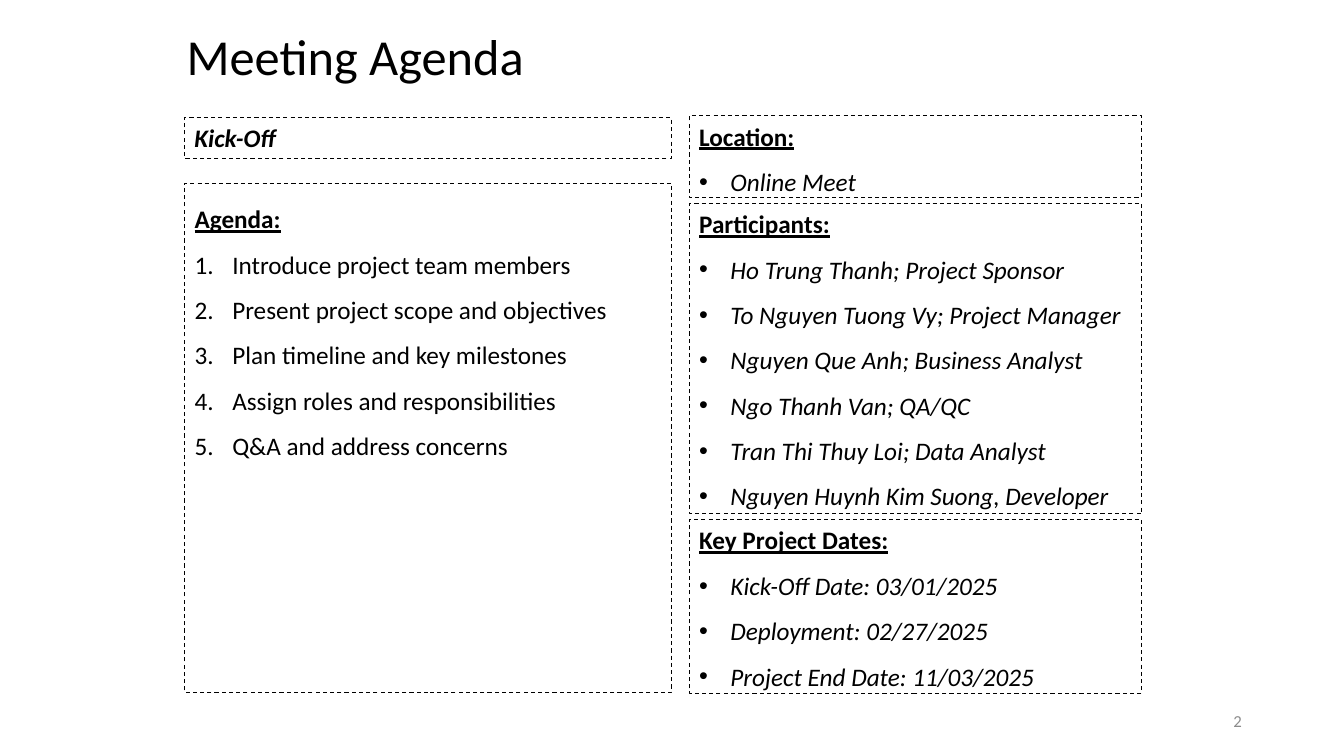
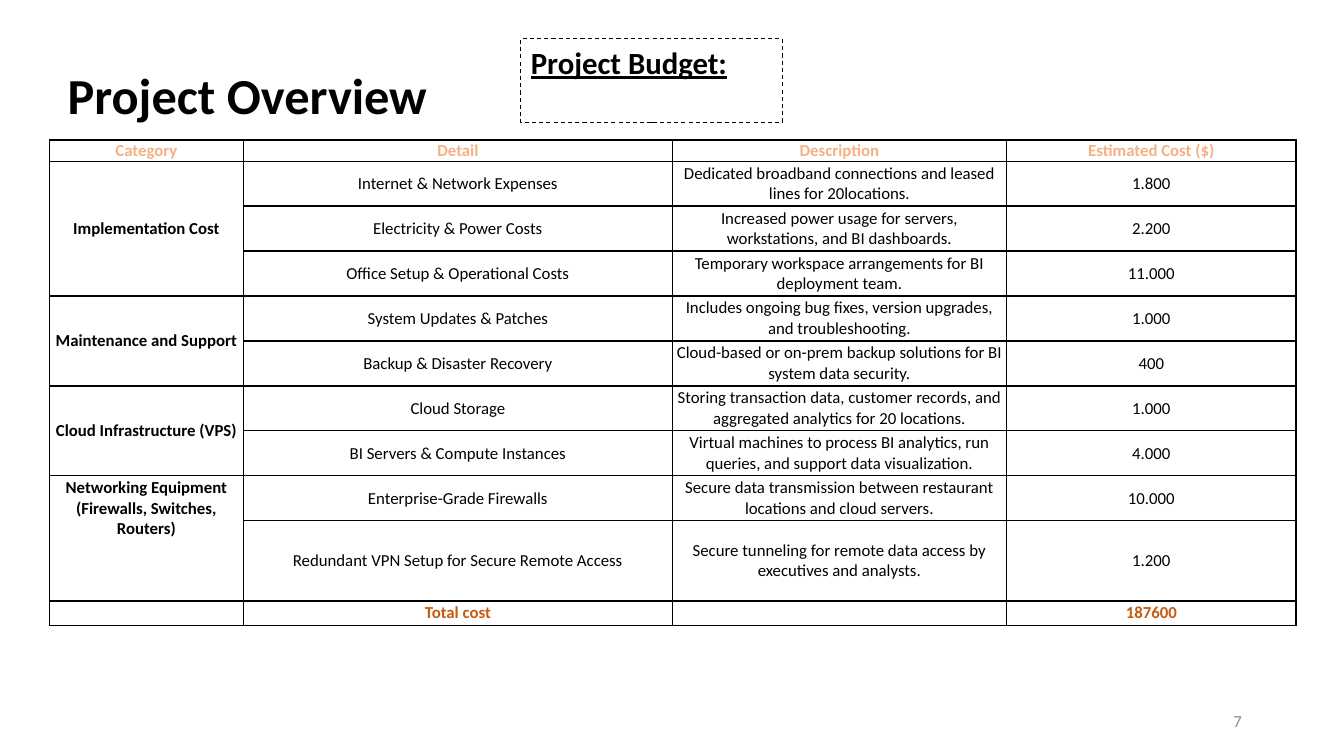
from lxml.etree import SubElement
from pptx import Presentation
from pptx.dml.color import RGBColor
from pptx.enum.dml import MSO_LINE
from pptx.enum.shapes import MSO_SHAPE
from pptx.enum.text import MSO_ANCHOR, MSO_AUTO_SIZE, PP_ALIGN
from pptx.oxml.ns import qn
from pptx.util import Cm, Pt

FONT = "Calibri"
BLACK, WHITE, GREY = "000000", "FFFFFF", "8C8C8C"
PEACH, RUST = "F4B183", "C55A11"

PLAIN = dict(size=Pt(18), name=FONT, bold=False, italic=False, underline=False)
HEAD = PLAIN | dict(bold=True, underline=True)
ITALIC = PLAIN | dict(italic=True)
TITLE = PLAIN | dict(size=Pt(36))
SMALL = PLAIN | dict(size=Pt(12))
STRONG = SMALL | dict(bold=True)

AGENDA = [
    "Introduce project team members",
    "Present project scope and objectives",
    "Plan timeline and key milestones",
    "Assign roles and responsibilities",
    "Q&A and address concerns",
]
# heading, box height in cm, bullet items
PANELS = [
    ("Location:", 2.06, ["Online Meet"]),
    ("Participants:", 7.82, [
        "Ho Trung Thanh; Project Sponsor",
        "To Nguyen Tuong Vy; Project Manager",
        "Nguyen Que Anh; Business Analyst",
        "Ngo Thanh Van; QA/QC",
        "Tran Thi Thuy Loi; Data Analyst",
        "Nguyen Huynh Kim Suong, Developer",
    ]),
    ("Key Project Dates:", 4.37, [
        "Kick-Off Date: 03/01/2025",
        "Deployment: 02/27/2025",
        "Project End Date: 11/03/2025",
    ]),
]
COLUMNS = ["Category", "Detail", "Description", "Estimated Cost ($)"]
WIDTHS = [4.9, 10.8, 8.43, 7.29]
HEIGHTS = [0.53] + [1.11] * 8 + [2.02, 0.61]
BUDGET = [
    ("Implementation Cost", [
        ("Internet & Network Expenses",
         "Dedicated broadband connections and leased lines for 20locations.", "1.800"),
        ("Electricity & Power Costs",
         "Increased power usage for servers, workstations, and BI dashboards.", "2.200"),
        ("Office Setup & Operational Costs",
         "Temporary workspace arrangements for BI deployment team.", "11.000"),
    ]),
    ("Maintenance and Support", [
        ("System Updates & Patches",
         "Includes ongoing bug fixes, version upgrades, and troubleshooting.", "1.000"),
        ("Backup & Disaster Recovery",
         "Cloud-based or on-prem backup solutions for BI system data security.", "400"),
    ]),
    ("Cloud Infrastructure (VPS)", [
        ("Cloud Storage",
         "Storing transaction data, customer records, and aggregated analytics "
         "for 20 locations.", "1.000"),
        ("BI Servers & Compute Instances",
         "Virtual machines to process BI analytics, run queries, and support "
         "data visualization.", "4.000"),
    ]),
    ("Networking Equipment (Firewalls, Switches, Routers)", [
        ("Enterprise-Grade Firewalls",
         "Secure data transmission between restaurant locations and cloud servers.",
         "10.000"),
        ("Redundant VPN Setup for Secure Remote Access",
         "Secure tunneling for remote data access by executives and analysts.", "1.200"),
    ]),
]
TOTAL = ["", "Total cost", "", "187600"]


def rgb(code):
    return RGBColor.from_string(code)


def write(para, text, style, color=BLACK, align=PP_ALIGN.LEFT, space=1.0):
    para.alignment, para.line_spacing = align, space
    para.space_before = Pt(0)
    if not text:
        SubElement(para._p, qn("a:endParaRPr"), sz=str(int(style["size"].pt * 100)))
        return
    run = para.add_run()
    run.text = text
    for key, value in style.items():
        setattr(run.font, key, value)
    run.font.color.rgb = rgb(color)


def mark(para, tag, indent=0.0, **attrs):
    """Set the bullet element and the hanging indent in cm."""
    props = para._p.get_or_add_pPr()
    props.set("marL", str(Cm(indent)))
    props.set("indent", str(-Cm(indent)))
    if tag == "a:buChar":
        SubElement(props, qn("a:buFont"), typeface="Arial")
    SubElement(props, qn(tag), **attrs)


def place(shape, left, top, width, height):
    shape.left, shape.top = Cm(left), Cm(top)
    shape.width, shape.height = Cm(width), Cm(height)


def frame(shape, anchor=MSO_ANCHOR.TOP):
    text = shape.text_frame
    text.word_wrap, text.auto_size = True, MSO_AUTO_SIZE.NONE
    text.vertical_anchor = anchor
    return text


def dash(shape):
    shape.fill.background()
    shape.line.color.rgb = rgb(BLACK)
    shape.line.width = Pt(0.75)
    shape.line.dash_style = MSO_LINE.DASH


def box(slide, area, text, style):
    """Add a dashed box with a first line and return its text frame."""
    shape = slide.shapes.add_shape(MSO_SHAPE.RECTANGLE, *map(Cm, area))
    shape.shadow.inherit = False
    dash(shape)
    body = frame(shape)
    write(body.paragraphs[0], text, style)
    return body


def start(deck, layout, title, area, number, bold=False):
    """Add a slide with its title and page number."""
    slide = deck.slides.add_slide(deck.slide_layouts[layout])
    head = slide.shapes.title
    place(head, *area)
    body = frame(head, MSO_ANCHOR.MIDDLE)
    write(body.paragraphs[0], title, TITLE | dict(bold=bold), space=0.9)
    page = slide.shapes.add_textbox(Cm(23.93), Cm(17.65), Cm(7.62), Cm(1.02))
    body = frame(page, MSO_ANCHOR.MIDDLE)
    write(body.paragraphs[0], number, SMALL, GREY, PP_ALIGN.RIGHT)
    return slide


def agenda(deck):
    slide = start(deck, 1, "Meeting Agenda", (4.45, 0.53, 24.97, 1.9), "2")
    left, width = 4.65, 12.27
    box(slide, (left, 2.97, width, 1.02), "Kick-Off", ITALIC | dict(bold=True))

    steps = slide.placeholders[1]
    place(steps, left, 4.62, width, 12.83)
    dash(steps)
    body = frame(steps)
    write(body.paragraphs[0], "Agenda:", HEAD, space=1.5)
    mark(body.paragraphs[0], "a:buNone")
    for item in AGENDA:
        para = body.add_paragraph()
        write(para, item, PLAIN, space=1.5)
        mark(para, "a:buAutoNum", 0.95, type="arabicPeriod")

    top, gap = 2.92, 0.15
    for title, height, items in PANELS:
        body = box(slide, (17.37, top, 11.4, height), title, HEAD)
        for item in items:
            para = body.add_paragraph()
            write(para, item, ITALIC, space=1.5)
            mark(para, "a:buChar", 0.79, char="•")
        top += height + gap


def fill(cell, text, style=SMALL, color=BLACK, pad=(0.08, 0.05)):
    cell.margin_left = cell.margin_right = Cm(pad[0])
    cell.margin_top = cell.margin_bottom = Cm(pad[1])
    cell.vertical_anchor = MSO_ANCHOR.MIDDLE
    write(cell.text_frame.paragraphs[0], text, style, color, PP_ALIGN.CENTER)
    props = cell._tc.get_or_add_tcPr()
    for side in "LRTB":
        line = SubElement(props, qn("a:ln" + side), w=str(Pt(1)))
        SubElement(SubElement(line, qn("a:solidFill")), qn("a:srgbClr"), val=BLACK)
    cell.fill.solid()
    cell.fill.fore_color.rgb = rgb(WHITE)


def budget(deck):
    slide = start(deck, 5, "Project Overview", (1.45, 1.52, 9.83, 1.9), "7", True)
    box(slide, (13.13, 0.97, 6.58, 2.13), "Project Budget:", HEAD | dict(size=Pt(22)))
    size = Cm(sum(WIDTHS)), Cm(sum(HEIGHTS))
    grid = slide.shapes.add_table(
        len(HEIGHTS), len(WIDTHS), Cm(1.24), Cm(3.53), *size).table
    grid.first_row = grid.horz_banding = False
    for col, width in zip(grid.columns, WIDTHS):
        col.width = Cm(width)
    for row, height in zip(grid.rows, HEIGHTS):
        row.height = Cm(height)

    last = len(HEIGHTS) - 1
    for col, (name, total) in enumerate(zip(COLUMNS, TOTAL)):
        fill(grid.cell(0, col), name, STRONG, PEACH, (0.03, 0))
        fill(grid.cell(last, col), total, STRONG, RUST)
    row = 1
    for group, lines in BUDGET:
        first = grid.cell(row, 0)
        for step, line in enumerate(lines):
            fill(grid.cell(row + step, 0), "" if step else group, STRONG)
            for col, text in enumerate(line, 1):
                fill(grid.cell(row + step, col), text)
        row += len(lines)
        first.merge(grid.cell(row - 1, 0))
    first.vertical_anchor = MSO_ANCHOR.TOP


def main():
    deck = Presentation()
    deck.slide_width, deck.slide_height = Cm(33.87), Cm(19.05)
    agenda(deck)
    budget(deck)
    deck.save("out.pptx")


if __name__ == "__main__":
    main()
